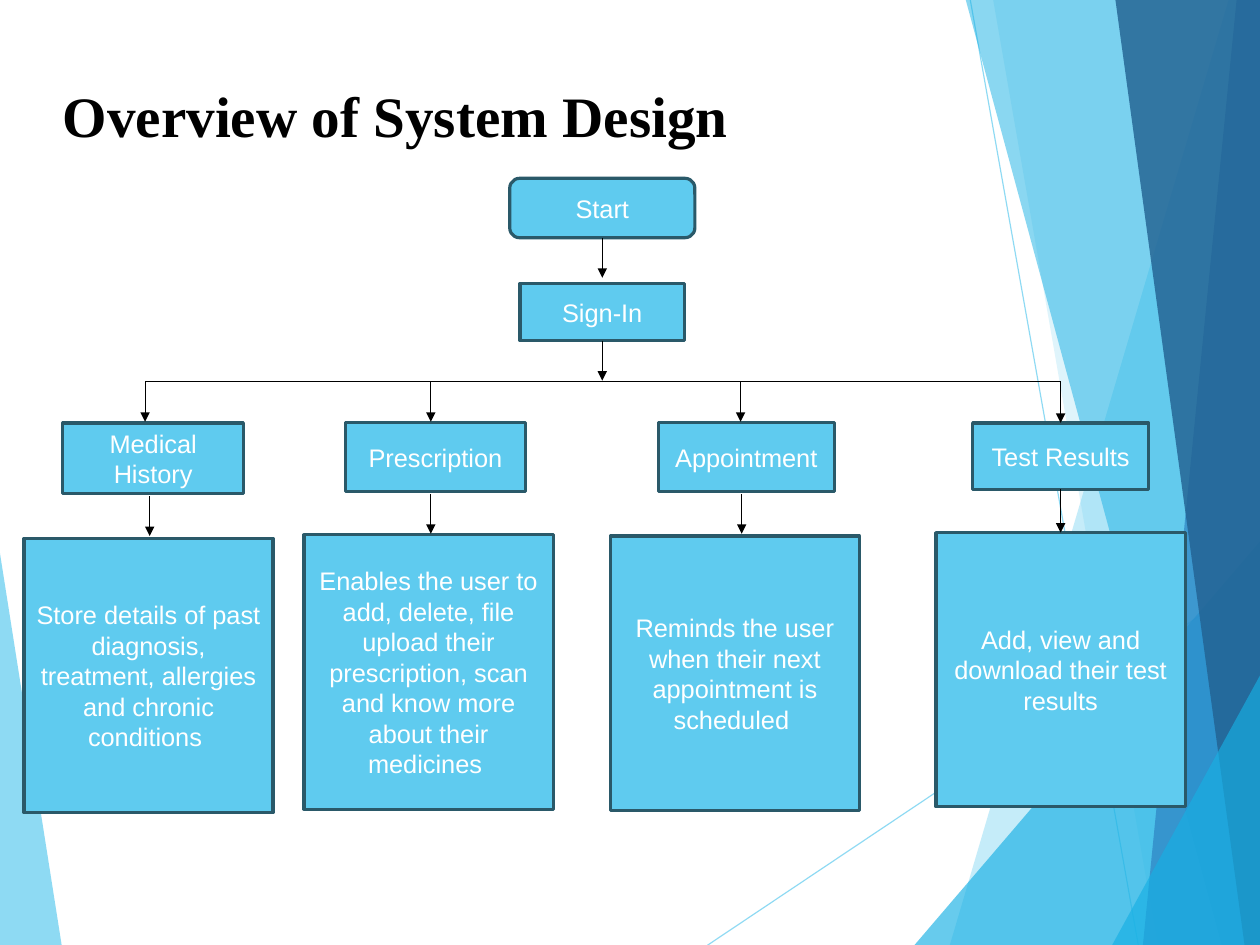
from lxml import etree
from pptx import Presentation
from pptx.dml.color import RGBColor
from pptx.enum.shapes import MSO_CONNECTOR, MSO_SHAPE
from pptx.enum.text import MSO_ANCHOR, MSO_AUTO_SIZE, PP_ALIGN
from pptx.oxml.ns import qn
from pptx.util import Pt

RECT, ROUND = MSO_SHAPE.RECTANGLE, MSO_SHAPE.ROUNDED_RECTANGLE
LINE = MSO_CONNECTOR.STRAIGHT
MID, LEFT, CENTER = MSO_ANCHOR.MIDDLE, PP_ALIGN.LEFT, PP_ALIGN.CENTER
FIXED = MSO_AUTO_SIZE.NONE
PX = 9144
WIDE, HIGH = 1103, 827
SKY, AQUA, BLUE, NAVY = "5FCBEF", "17B0E4", "2E83C3", "236292"
hue = RGBColor.from_string


def link(ends, color="000000", alpha=100, tip=True):
    line = page.shapes.add_connector(LINE, *[n * PX for n in ends])
    line.line.width = Pt(0.75)
    line.line.color.rgb = hue(color)
    if alpha < 100:
        tint = next(line.element.iter(qn("a:srgbClr")))
        etree.SubElement(tint, qn("a:alpha"), val=str(alpha * 1000))
    if tip:
        stroke = line.element.spPr.find(qn("a:ln"))
        etree.SubElement(stroke, qn("a:tailEnd"), type="triangle")
    etree.SubElement(line.element.spPr, qn("a:effectLst"))
    return line


def box(text, left, top, wide, high, kind=RECT):
    shape = page.shapes.add_shape(kind, *[n * PX for n in (left, top, wide, high)])
    shape.shadow.inherit = False
    shape.fill.solid()
    shape.fill.fore_color.rgb = hue(SKY)
    shape.line.color.rgb = hue("2A5969")
    shape.line.width = Pt(2)
    frame = shape.text_frame
    frame.text = text
    frame.word_wrap = True
    frame.vertical_anchor = MID
    para = frame.paragraphs[0]
    para.alignment = CENTER
    font = para.runs[0].font
    font.name = "Arial"
    font.size = Pt(16)
    font.color.rgb = hue("FFFFFF")
    return shape


deck = Presentation()
deck.slide_width, deck.slide_height = 10080625, 7559675
page = deck.slides.add_slide(deck.slide_layouts[5])

link((619, HIGH, WIDE, 503), SKY, 70, False)
link((849, 0, 996, HIGH), SKY, 70, False)

facets = [
    (SKY, 70, [(0, 484), (54, HIGH), (0, HIGH)]),
    (SKY, 36, [(1075, 0), (831, HIGH), (WIDE, HIGH), (WIDE, 0)]),
    (SKY, 20, [(869, 0), (1013, HIGH), (WIDE, HIGH), (WIDE, 0)]),
    (AQUA, 65, [(800, HIGH), (WIDE, 473), (WIDE, HIGH)]),
    (AQUA, 50, [(845, 0), (1069, HIGH), (WIDE, HIGH), (WIDE, 0)]),
    (BLUE, 70, [(1082, 0), (1000, HIGH), (WIDE, HIGH), (WIDE, 0)]),
    (NAVY, 82, [(976, 0), (1089, HIGH), (WIDE, HIGH), (WIDE, 0)]),
    (AQUA, 65, [(973, HIGH), (WIDE, 590), (WIDE, HIGH)]),
]
for color, alpha, points in facets:
    pen = page.shapes.build_freeform(*points[0], scale=PX)
    pen.add_line_segments(points[1:], close=True)
    facet = pen.convert_to_shape()
    facet.shadow.inherit = False
    facet.fill.solid()
    facet.fill.fore_color.rgb = hue(color)
    facet.line.fill.background()
    tint = next(facet.element.iter(qn("a:srgbClr")))
    etree.SubElement(tint, qn("a:alpha"), val=str(alpha * 1000))

title = page.shapes.title
title.element.getparent().append(title.element)
place = {"left": 55, "top": 33, "width": 992, "height": 138}
for name, value in place.items():
    setattr(title, name, value * PX)
frame = title.text_frame
frame.text = "Overview of System Design"
para = frame.paragraphs[0]
font = para.runs[0].font
looks = [
    (frame, {"margin_left": 0, "margin_top": 3 * PX, "margin_right": 0,
             "margin_bottom": 0, "vertical_anchor": MID,
             "auto_size": FIXED, "word_wrap": True}),
    (para, {"alignment": LEFT, "line_spacing": 0.93}),
    (font, {"name": "Times New Roman", "size": Pt(36), "bold": True}),
]
for target, look in looks:
    for name, value in look.items():
        setattr(target, name, value)
font.color.rgb = hue("000000")

start = box("Start", 446, 156, 162, 52, ROUND)
sign = box("Sign-In", 455, 248, 144, 50)
link((527, 208, 527, 243)).begin_connect(start, 2)
link((527, 298, 527, 333)).begin_connect(sign, 2)
link((127, 334, 928, 334), tip=False)

parts = [
    ("Medical History", 55, 158, 62, 127, 131, 434, 21, 471,
     "Store details of past diagnosis, treatment, allergies and chronic conditions "),
    ("Prescription", 302, 158, 60, 377, 377, 432, 266, 468,
     "Enables the user to add, delete, file upload their prescription, "
     "scan and know more about their medicines "),
    ("Appointment", 576, 154, 60, 648, 649, 432, 534, 469,
     "Reminds the user when their next appointment is scheduled "),
    ("Test Results", 851, 154, 58, 928, 928, 430, 819, 466,
     "Add, view and download their test results"),
]
for name, left, wide, high, drop, stem, top, edge, floor, note in parts:
    head = box(name, left, 370, wide, high)
    body = box(note, edge, floor, 218, 240)
    upper = link((drop, 334, drop, 369))
    lower = link((stem, top, stem, top + 35))
    if drop == left + wide / 2:
        upper.end_connect(head, 0)
        lower.begin_connect(head, 2)
        lower.end_connect(body, 0)

deck.save("out.pptx")
